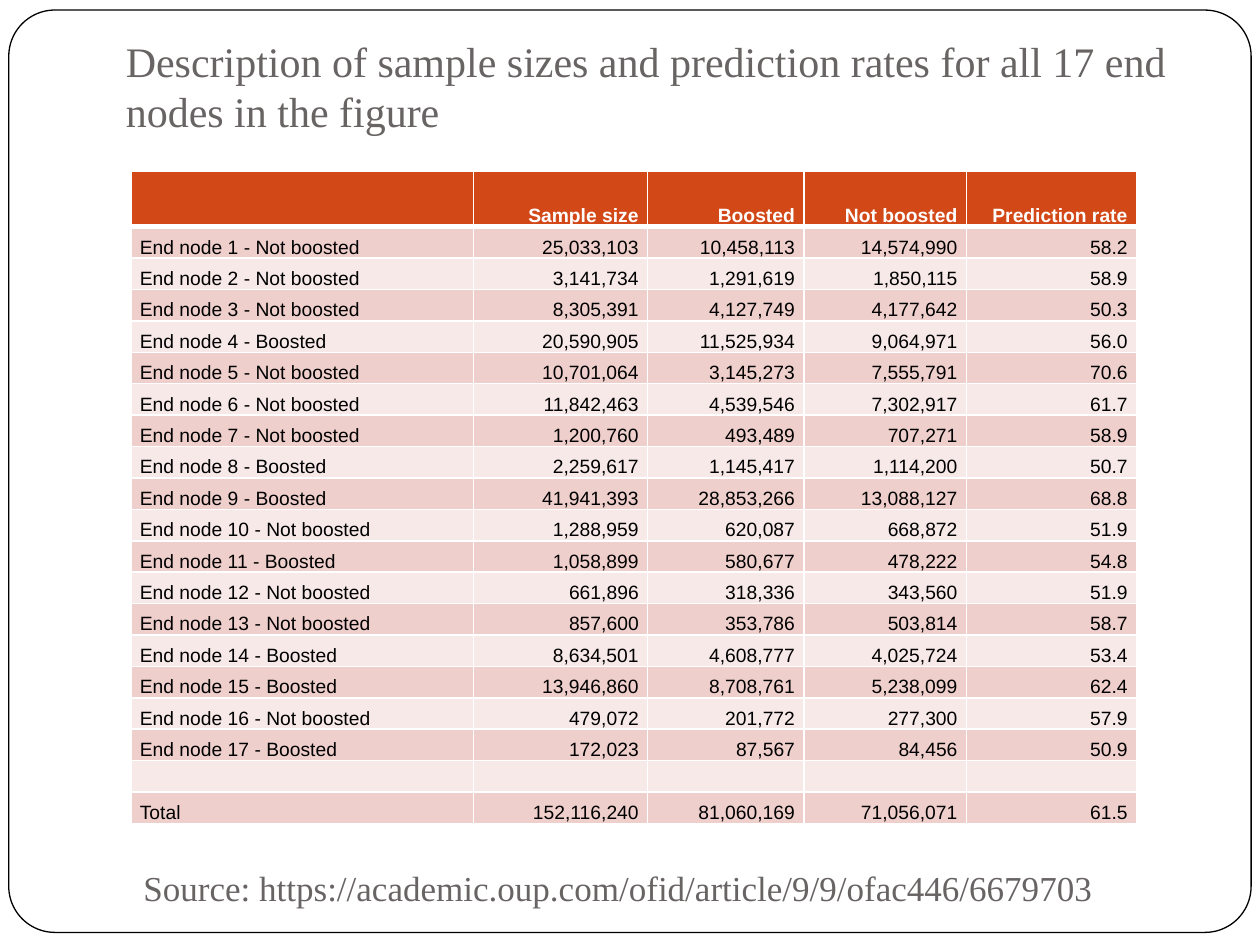
"""Build a slide with a table of sample sizes and prediction rates by end node."""
from typing import NamedTuple

from lxml import etree
from pptx import Presentation
from pptx import util as u
from pptx.dml.color import RGBColor
from pptx.enum import shapes, text
from pptx.oxml import ns

WHITE = RGBColor(0xFF, 0xFF, 0xFF)
BLACK = RGBColor(0, 0, 0)
GREY = RGBColor(0x69, 0x64, 0x64)
RUST = RGBColor(0xD3, 0x48, 0x17)
ROSE = RGBColor(0xEF, 0xCF, 0xCC)
BLUSH = RGBColor(0xF7, 0xE9, 0xE8)

SERIF = "Times New Roman"
SANS = "Arial"
SIZE = 11
LEFT, TOP, HIGH, HEAD = 1.04, 1.36, 5.18, 0.44
WIDTHS = (2.72, 1.38, 1.24, 1.29, 1.35)


class Node(NamedTuple):
    """Counts and prediction rate of one group."""

    sample: int
    boosted: int
    other: int
    rate: float

    def label(self, num: int) -> str:
        """Name the node after its larger group."""
        kind = "Boosted" if self.boosted > self.other else "Not boosted"
        return f"End node {num} - {kind}"

    def cells(self, label: str) -> list[str]:
        """Give the texts of the table row."""
        counts = [f"{num:,}" for num in (self.sample, self.boosted, self.other)]
        return [label, *counts, f"{self.rate:.1f}"]


class Note(NamedTuple):
    """A line of serif text and its place."""

    words: str
    left: float
    top: float
    size: int


class Look(NamedTuple):
    """The style of a table row."""

    fill: RGBColor
    ink: RGBColor
    bold: bool
    upper: int
    lower: int


NODES = (
    Node(25033103, 10458113, 14574990, 58.2),
    Node(3141734, 1291619, 1850115, 58.9),
    Node(8305391, 4127749, 4177642, 50.3),
    Node(20590905, 11525934, 9064971, 56.0),
    Node(10701064, 3145273, 7555791, 70.6),
    Node(11842463, 4539546, 7302917, 61.7),
    Node(1200760, 493489, 707271, 58.9),
    Node(2259617, 1145417, 1114200, 50.7),
    Node(41941393, 28853266, 13088127, 68.8),
    Node(1288959, 620087, 668872, 51.9),
    Node(1058899, 580677, 478222, 54.8),
    Node(661896, 318336, 343560, 51.9),
    Node(857600, 353786, 503814, 58.7),
    Node(8634501, 4608777, 4025724, 53.4),
    Node(13946860, 8708761, 5238099, 62.4),
    Node(479072, 201772, 277300, 57.9),
    Node(172023, 87567, 84456, 50.9),
)
TOTAL = Node(152116240, 81060169, 71056071, 61.5)
HEADS = ["", "Sample size", "Boosted", "Not boosted", "Prediction rate"]
ROWS = [
    HEADS,
    *(node.cells(node.label(num)) for num, node in enumerate(NODES, 1)),
    [""] * len(HEADS),
    TOTAL.cells("Total"),
]
NOTES = (
    Note("Description of sample sizes and prediction rates for all 17 end nodes in the figure",
         0.9, 0.22, 24),
    Note("Source: https://academic.oup.com/ofid/article/9/9/ofac446/6679703",
         1.04, 6.35, 20),
)


def style(run, face: str, size: int, ink: RGBColor, bold: bool = False) -> None:
    """Format a run."""
    run.font.name = face
    run.font.size = u.Pt(size)
    run.font.color.rgb = ink
    run.font.bold = bold


def draw_frame(slide) -> None:
    """Draw the rounded frame around the slide."""
    frame = slide.shapes.add_shape(
        shapes.MSO_SHAPE.ROUNDED_RECTANGLE,
        u.Inches(0.07), u.Inches(0.08), u.Inches(9.86), u.Inches(7.32))
    frame.adjustments[0] = 0.05
    frame.shadow.inherit = False
    frame.fill.solid()
    frame.fill.fore_color.rgb = WHITE
    frame.line.color.rgb = BLACK
    frame.line.width = u.Pt(0.75)


def draw_note(slide, note: Note) -> None:
    """Draw a line of serif text."""
    box = slide.shapes.add_textbox(
        u.Inches(note.left), u.Inches(note.top), u.Inches(8.5), u.Inches(1.25))
    frame = box.text_frame
    frame.word_wrap = True
    frame.vertical_anchor = text.MSO_ANCHOR.BOTTOM
    frame.margin_bottom = u.Inches(0.39)
    frame.text = note.words
    style(frame.paragraphs[0].runs[0], SERIF, note.size, GREY)


def add_edge(cell, side: str, width: int) -> None:
    """Add a white border to one side of a cell."""
    props = cell._tc.get_or_add_tcPr()
    edge = etree.SubElement(props, ns.qn(f"a:ln{side}"), w=str(u.Pt(width)))
    fill = etree.SubElement(edge, ns.qn("a:solidFill"))
    etree.SubElement(fill, ns.qn("a:srgbClr"), val=str(WHITE))


def fill_cell(cell, words: str, look: Look, align: text.PP_ALIGN) -> None:
    """Write and format a table cell."""
    for side, width in zip("LRTB", (1, 1, look.upper, look.lower)):
        add_edge(cell, side, width)
    cell.fill.solid()
    cell.fill.fore_color.rgb = look.fill
    cell.margin_left = cell.margin_right = u.Inches(0.07)
    cell.margin_top = cell.margin_bottom = 0
    cell.vertical_anchor = text.MSO_ANCHOR.BOTTOM
    para = cell.text_frame.paragraphs[0]
    para.alignment = align
    if words:
        para.text = words
        style(para.runs[0], SANS, SIZE, look.ink, look.bold)
    else:
        para._p.get_or_add_endParaRPr().set("sz", str(SIZE * 100))


def pick_look(row: int) -> Look:
    """Choose the style of a row by its place."""
    if row == 0:
        return Look(RUST, WHITE, True, 1, 3)
    return Look(ROSE if row % 2 else BLUSH, BLACK, False, 3 if row == 1 else 1, 1)


def draw_table(slide) -> None:
    """Draw the table of nodes."""
    table = slide.shapes.add_table(
        len(ROWS), len(WIDTHS), u.Inches(LEFT), u.Inches(TOP),
        u.Inches(sum(WIDTHS)), u.Inches(HIGH)).table
    for col, width in zip(table.columns, WIDTHS):
        col.width = u.Inches(width)
    step = (HIGH - HEAD) / (len(ROWS) - 1)
    for row, line in enumerate(ROWS):
        table.rows[row].height = u.Inches(step if row else HEAD)
        for col, words in enumerate(line):
            align = text.PP_ALIGN.RIGHT if col else text.PP_ALIGN.LEFT
            fill_cell(table.cell(row, col), words, pick_look(row), align)


def main() -> None:
    """Build and save the slide."""
    deck = Presentation()
    deck.slide_width, deck.slide_height = u.Inches(10), u.Inches(7.5)
    slide = deck.slides.add_slide(deck.slide_layouts[6])
    draw_frame(slide)
    draw_table(slide)
    for note in NOTES:
        draw_note(slide, note)
    deck.save("out.pptx")


if __name__ == "__main__":
    main()
